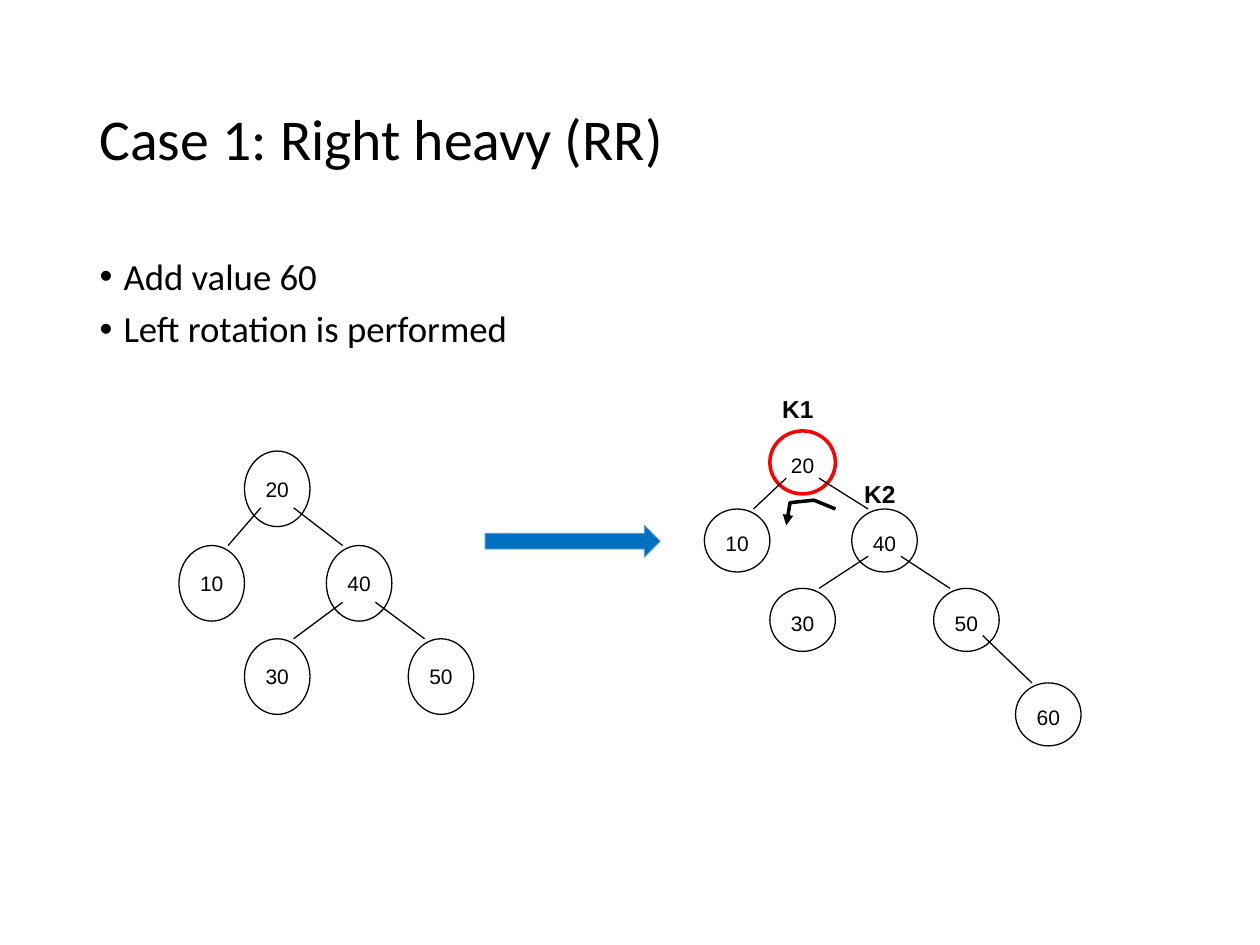
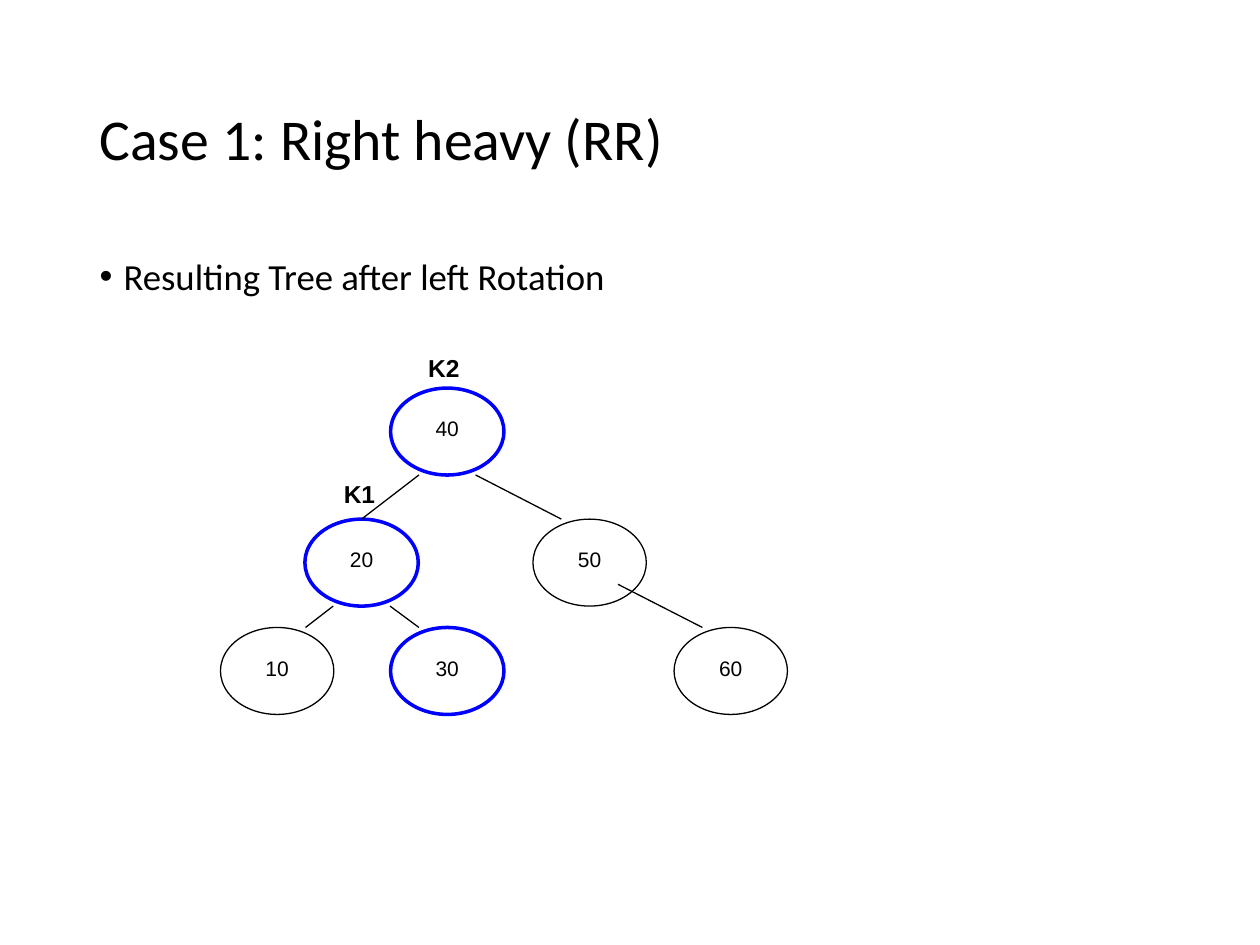
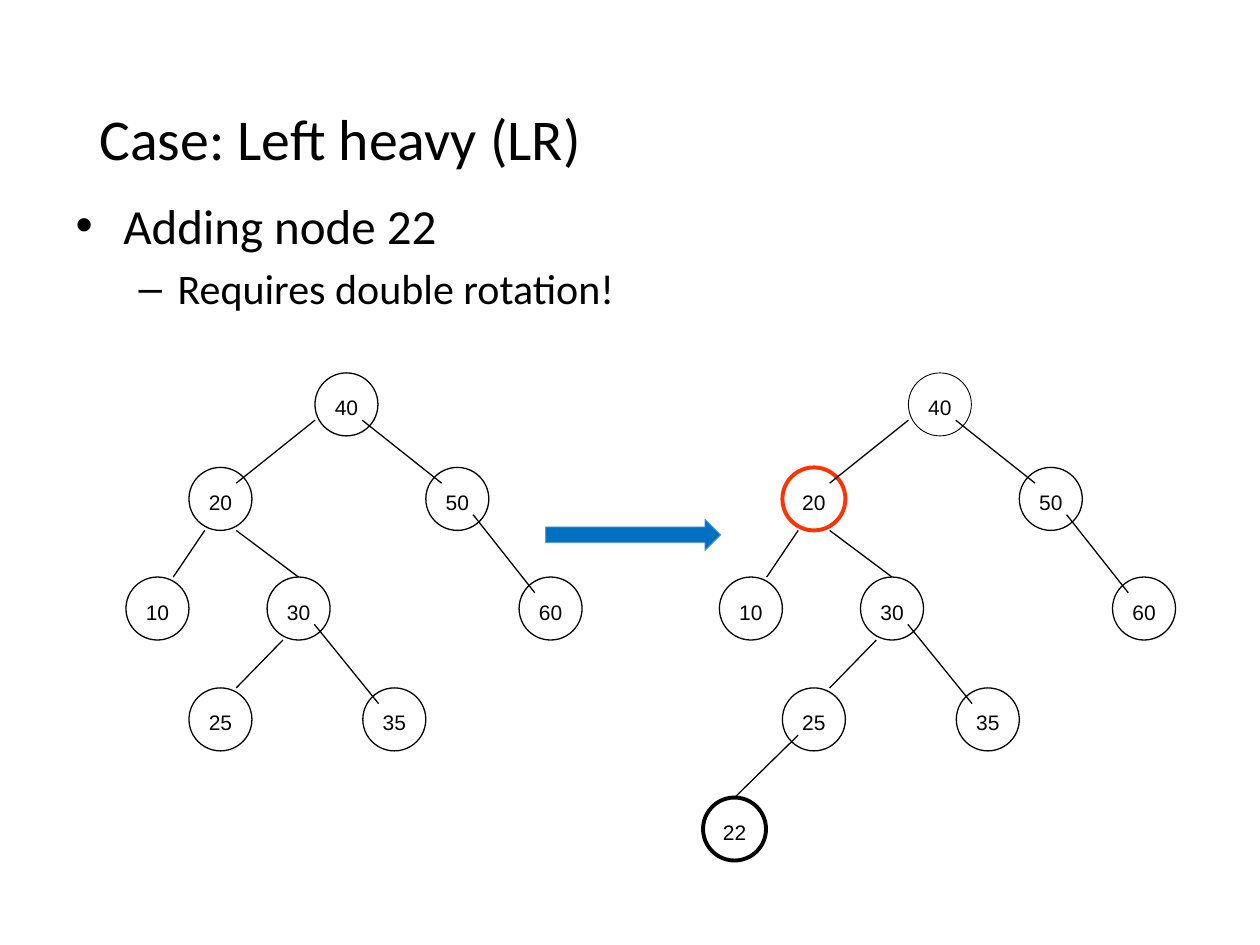
from dataclasses import dataclass, replace
from typing import Any, NamedTuple

from lxml.etree import SubElement
from pptx import Presentation
from pptx.dml.color import RGBColor
from pptx.enum.shapes import MSO_CONNECTOR as Cxn, MSO_SHAPE as Shp
from pptx.enum.text import MSO_ANCHOR as Anchor, MSO_AUTO_SIZE as Fit, PP_ALIGN as Align
from pptx.oxml.ns import qn
from pptx.util import Inches, Pt

BLACK, WHITE, RED, BLUE = "000000", "FFFFFF", "FF0000", "0000FF"
ORANGE, ARROW_FILL, ARROW_LINE = "FF3300", "0070C0", "5B9BD5"

TITLE_BOX = (0.69, 0.4, 8.62, 1.45)
BODY_BOX = (0.69, 2, 8.62, 4.76)
WIDE_BODY_BOX = (0.5, 1.5, 9, 4.95)

TITLE_FONT = {"name": "Calibri", "size": Pt(33)}
NODE_FONT = {"name": "Arial", "size": Pt(12)}
KEY_FONT = {"name": "Arial", "size": Pt(14), "bold": True}
TIGHT = {"line_spacing": 0.9, "space_before": Pt(7.5)}

Spot = tuple[float, float]
LOW_LEFT, LOW_RIGHT = (0.25, 0.75), (0.75, 0.75)
BASE_LEFT, BASE_RIGHT = (0.25, 1), (0.75, 1)
HIGH_LEFT, HIGH_RIGHT = (0.25, 0.25), (0.75, 0.25)
TOP_LEFT, TOP_MID, TOP_RIGHT = (0.25, 0), (0.5, 0), (0.75, 0)
SIDE_LEFT = (0, 0.75)


class Bullet(NamedTuple):
    text: str
    size: float = 21
    level: int = 0
    margin: float = 0.19
    hang: float = 0.19


class Node(NamedTuple):
    value: int
    x: float
    row: int
    color: str = BLACK
    width: float = 0.75


class Edge(NamedTuple):
    parent: int
    child: int
    start: Spot
    end: Spot


class Key(NamedTuple):
    text: str
    x: float
    y: float
    width: float = 0.47


@dataclass(frozen=True)
class Tree:
    size: Spot
    rows: tuple[float, ...]
    nodes: tuple[Node, ...]
    edges: tuple[Edge, ...]
    keys: tuple[Key, ...] = ()


SMALL_EDGES = (
    Edge(20, 10, LOW_LEFT, TOP_RIGHT),
    Edge(20, 40, LOW_RIGHT, TOP_LEFT),
    Edge(40, 30, LOW_LEFT, TOP_RIGHT),
    Edge(40, 50, LOW_RIGHT, TOP_LEFT),
)
BALANCED = Tree(
    (0.52, 0.6), (3.58, 4.33, 5.07),
    (Node(20, 1.94, 0), Node(10, 1.42, 1), Node(40, 2.59, 1),
     Node(30, 1.94, 2), Node(50, 3.24, 2)),
    SMALL_EDGES,
)
RIGHT_HEAVY = Tree(
    (0.52, 0.5), (3.42, 4.04, 4.67, 5.42),
    (Node(20, 6.11, 0, RED, 2), Node(10, 5.59, 1), Node(40, 6.76, 1),
     Node(30, 6.11, 2), Node(50, 7.41, 2), Node(60, 8.06, 3)),
    SMALL_EDGES + (Edge(50, 60, LOW_RIGHT, TOP_LEFT),),
    (Key("K1", 6.11, 3.08), Key("K2", 6.76, 3.75)),
)
ROTATED = Tree(
    (0.9, 0.69), (3.08, 4.12, 4.98),
    (Node(40, 3.1, 0, BLUE, 2), Node(20, 2.42, 1, BLUE, 2), Node(50, 4.23, 1),
     Node(10, 1.75, 2), Node(30, 3.1, 2, BLUE, 2), Node(60, 5.35, 2)),
    (Edge(40, 20, BASE_LEFT, TOP_MID), Edge(40, 50, BASE_RIGHT, TOP_LEFT),
     Edge(20, 10, BASE_LEFT, TOP_RIGHT), Edge(20, 30, BASE_RIGHT, TOP_LEFT),
     Edge(50, 60, LOW_RIGHT, TOP_LEFT)),
    (Key("K1", 2.63, 3.75, 0.45), Key("K2", 3.3, 2.75, 0.45)),
)
BEFORE_22 = Tree(
    (0.5, 0.5), (2.96, 3.71, 4.58, 5.46, 6.33),
    (Node(40, 2.5, 0), Node(20, 1.5, 1), Node(50, 3.38, 1), Node(10, 1, 2),
     Node(30, 2.12, 2), Node(60, 4.12, 2), Node(25, 1.5, 3), Node(35, 2.88, 3)),
    (Edge(40, 20, SIDE_LEFT, HIGH_RIGHT), Edge(40, 50, LOW_RIGHT, HIGH_LEFT),
     Edge(20, 10, BASE_LEFT, TOP_RIGHT), Edge(20, 30, BASE_RIGHT, TOP_MID),
     Edge(50, 60, LOW_RIGHT, HIGH_LEFT), Edge(30, 25, BASE_LEFT, TOP_RIGHT),
     Edge(30, 35, LOW_RIGHT, HIGH_LEFT)),
)
SHIFT = 4.71
OUTLINES = {20: {"color": ORANGE, "width": 2.25}, 40: {"width": 0.5}}
AFTER_22 = replace(
    BEFORE_22,
    nodes=tuple(n._replace(x=n.x + SHIFT, **OUTLINES.get(n.value, {}))
                for n in BEFORE_22.nodes) + (Node(22, 5.58, 4, width=2.25),),
    edges=BEFORE_22.edges + (Edge(25, 22, LOW_LEFT, TOP_MID),),
)


def rgb(color: str) -> RGBColor:
    return RGBColor.from_string(color)


def apply(obj: Any, values: dict[str, Any]) -> None:
    for name, value in values.items():
        setattr(obj, name, value)


def place(sp: Any, box: tuple[float, ...]) -> None:
    apply(sp, dict(zip(("left", "top", "width", "height"), map(Inches, box))))


def write(p: Any, text: str, font: dict[str, Any]) -> None:
    r = p.add_run()
    r.text = text
    apply(r.font, font)
    r.font.color.rgb = rgb(BLACK)


def outline(sp: Any, color: str = BLACK, width: float = 0.75) -> None:
    sp.line.color.rgb = rgb(color)
    sp.line.width = Pt(width)


def add_shape(shapes: Any, kind: Shp, box: tuple[float, ...], fill: str | None = None) -> Any:
    sp = shapes.add_shape(kind, *map(Inches, box))
    sp.shadow.inherit = False
    if fill:
        sp.fill.solid()
        sp.fill.fore_color.rgb = rgb(fill)
    else:
        sp.fill.background()
    return sp


def draw_node(shapes: Any, node: Node, tree: Tree) -> Any:
    (w, h), y = tree.size, tree.rows[node.row]
    label = add_shape(shapes, Shp.RECTANGLE, (node.x, y + h / 4, w, h / 2), WHITE)
    label.line.fill.background()
    label.text_frame.vertical_anchor = Anchor.TOP
    p = label.text_frame.paragraphs[0]
    p.alignment = Align.CENTER
    write(p, str(node.value), NODE_FONT)
    ring = add_shape(shapes, Shp.OVAL, (node.x, y, w, h))
    outline(ring, node.color, node.width)
    return ring


def locate(sp: Any, spot: Spot) -> tuple[int, int]:
    return int(sp.left + sp.width * spot[0]), int(sp.top + sp.height * spot[1])


def draw_edge(shapes: Any, edge: Edge, rings: dict[int, Any]) -> None:
    parent, child = rings[edge.parent], rings[edge.child]
    line = shapes.add_connector(
        Cxn.STRAIGHT, *locate(parent, edge.start), *locate(child, edge.end))
    if edge.end == TOP_MID:
        line.end_connect(child, 0)
    outline(line)
    SubElement(line._element.spPr, qn("a:effectLst"))


def draw_key(shapes: Any, key: Key) -> None:
    tf = shapes.add_textbox(*map(Inches, (key.x, key.y, key.width, 0.34))).text_frame
    apply(tf, {"word_wrap": False, "auto_size": Fit.SHAPE_TO_FIT_TEXT})
    write(tf.paragraphs[0], key.text, KEY_FONT)


def draw_tree(slide: Any, tree: Tree) -> None:
    shapes = slide.shapes.add_group_shape().shapes
    rings = {node.value: draw_node(shapes, node, tree) for node in tree.nodes}
    for edge in tree.edges:
        draw_edge(shapes, edge, rings)
    for key in tree.keys:
        draw_key(shapes, key)


def draw_step_arrow(slide: Any, x: float, y: float) -> None:
    arrow = add_shape(slide.shapes, Shp.RIGHT_ARROW, (x, y, 1.39, 0.25), ARROW_FILL)
    outline(arrow, ARROW_LINE, 0.5)


def draw_rotation_arrow(slide: Any, points: list[Spot]) -> None:
    start, *rest = [(Inches(x), Inches(y)) for x, y in points]
    builder = slide.shapes.build_freeform(*start)
    builder.add_line_segments(rest, close=False)
    sp = builder.convert_to_shape()
    sp.shadow.inherit = False
    sp.fill.background()
    outline(sp, BLACK, 2)
    SubElement(sp.line._get_or_add_ln(), qn("a:tailEnd"), type="triangle")


def add_slide(prs: Any, title: str, bullets: list[Bullet],
              box: tuple[float, ...] = BODY_BOX, spacing: dict[str, Any] = TIGHT) -> Any:
    slide = prs.slides.add_slide(prs.slide_layouts[1])
    head, body = slide.placeholders
    place(head, TITLE_BOX)
    apply(head.text_frame, {"vertical_anchor": Anchor.MIDDLE, "auto_size": Fit.NONE})
    p = head.text_frame.paragraphs[0]
    apply(p, {"alignment": Align.LEFT, "line_spacing": 0.9})
    write(p, title, TITLE_FONT)

    place(body, box)
    tf = body.text_frame
    tf.auto_size = Fit.NONE
    for i, bullet in enumerate(bullets):
        p = tf.add_paragraph() if i else tf.paragraphs[0]
        apply(p, {"level": bullet.level, **spacing})
        pPr = p._p.get_or_add_pPr()
        pPr.set("marL", str(Inches(bullet.margin)))
        pPr.set("indent", str(-Inches(bullet.hang)))
        write(p, bullet.text, {"name": "Calibri", "size": Pt(bullet.size)})
    return slide


def main() -> None:
    prs = Presentation()
    apply(prs, {"slide_width": Inches(10), "slide_height": Inches(7.5)})

    slide = add_slide(prs, "Case 1: Right heavy (RR)",
                      [Bullet("Add value 60"), Bullet("Left rotation is performed")])
    draw_tree(slide, BALANCED)
    draw_step_arrow(slide, 3.85, 4.17)
    draw_tree(slide, RIGHT_HEAVY)
    draw_rotation_arrow(slide, [(6.63, 4.04), (6.46, 3.97), (6.27, 3.99), (6.24, 4.17)])

    slide = add_slide(prs, "Case 1: Right heavy (RR)",
                      [Bullet("Resulting Tree after left Rotation")])
    draw_tree(slide, ROTATED)

    slide = add_slide(prs, "Case: Left heavy (LR)",
                      [Bullet("Adding node 22", 28, 0, 0.38, 0.38),
                       Bullet("Requires double rotation!", 24, 1, 0.81, 0.31)],
                      WIDE_BODY_BOX, {})
    draw_tree(slide, BEFORE_22)
    draw_tree(slide, AFTER_22)
    draw_step_arrow(slide, 4.33, 4.12)

    prs.save("out.pptx")


if __name__ == "__main__":
    main()
